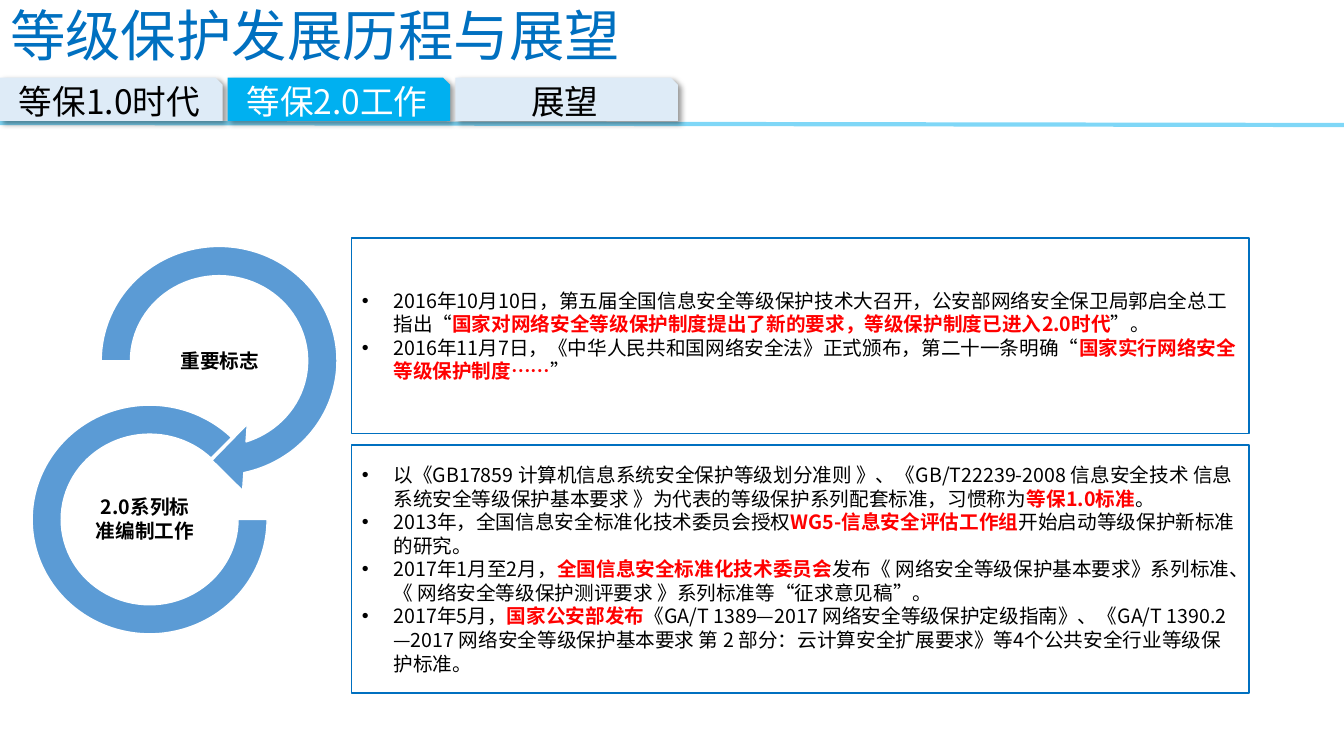
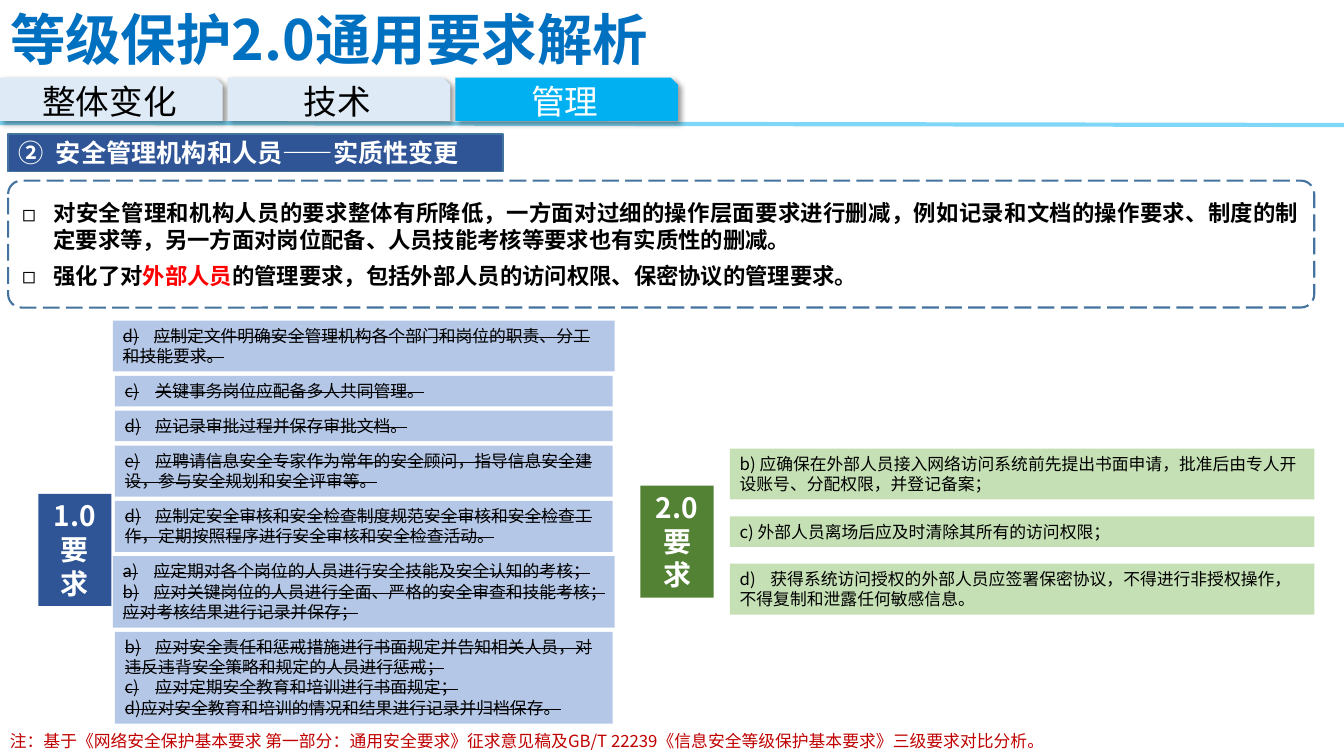
"""Build two slides on the classified protection standards."""
from lxml import etree
from pptx import Presentation
from pptx.dml.color import RGBColor
from pptx.enum.dml import MSO_LINE
from pptx.enum.shapes import MSO_CONNECTOR, MSO_SHAPE
from pptx.enum.text import MSO_ANCHOR, MSO_AUTO_SIZE, PP_ALIGN
from pptx.oxml.ns import qn
from pptx.util import Pt

RECT, ROUND, SNIP = MSO_SHAPE.RECTANGLE, MSO_SHAPE.ROUNDED_RECTANGLE, MSO_SHAPE.SNIP_1_RECTANGLE
ARROW, ARC = MSO_SHAPE.CIRCULAR_ARROW, MSO_SHAPE.BLOCK_ARC
LEFT, CENTER, JUSTIFY = PP_ALIGN.LEFT, PP_ALIGN.CENTER, PP_ALIGN.JUSTIFY
TOP, MIDDLE = MSO_ANCHOR.TOP, MSO_ANCHOR.MIDDLE
NO_FIT, GROW = MSO_AUTO_SIZE.NONE, MSO_AUTO_SIZE.SHAPE_TO_FIT_TEXT
LONG_DASH = MSO_LINE.LONG_DASH
STRAIGHT = MSO_CONNECTOR.STRAIGHT

FONT = "Noto Sans CJK SC"
C = {
    "black": "000000", "white": "FFFFFF", "red": "FF0000", "note": "C00000",
    "title": "0070C0", "active": "00B0F0", "tab": "DEEBF7", "ring": "5B9BD5",
    "navy": "2F5597", "edge": "43739E", "old": "B4C7E7", "green": "548235", "new": "C5E0B4",
}
SLIDE_W, SLIDE_H = 960, 540
TAB_W, TAB_H, TAB_STEP, TAB_TOP = 159, 31, 162.6, 55.4
LINE_H, PAD = 14.6, 7.2

MILESTONES = [
    "2016年10月10日，第五届全国信息安全等级保护技术大召开，公安部网络安全保卫局郭启全总工指出“|国家对网络安全等级保护制度提出了新的要求，等级保护制度已进入2.0时代|”。",
    "2016年11月7日，《中华人民共和国网络安全法》正式颁布，第二十一条明确“|国家实行网络安全等级保护制度……|”",
]
STANDARDS = [
    "以《GB17859 计算机信息系统安全保护等级划分准则 》、《GB/T22239-2008 信息安全技术 信息系统安全等级保护基本要求 》为代表的等级保护系列配套标准，习惯称为|等保1.0标准|。",
    "2013年，全国信息安全标准化技术委员会授权|WG5-信息安全评估工作组|开始启动等级保护新标准的研究。",
    "2017年1月至2月，|全国信息安全标准化技术委员会|发布《 网络安全等级保护基本要求》系列标准、《 网络安全等级保护测评要求 》系列标准等“征求意见稿”。",
    "2017年5月，|国家公安部发布|《GA/T 1389—2017 网络安全等级保护定级指南》、《GA/T 1390.2—2017 网络安全等级保护基本要求 第 2 部分：云计算安全扩展要求》等4个公共安全行业等级保护标准。",
]
SUMMARY = [
    "对安全管理和机构人员的要求整体有所降低，一方面对过细的操作层面要求进行删减，例如记录和文档的操作要求、制度的制定要求等，另一方面对岗位配备、人员技能考核等要求也有实质性的删减。",
    "强化了对|外部人员|的管理要求，包括外部人员的访问权限、保密协议的管理要求。",
]
OLD_ITEMS = [
    (2, 1.4, ["d)\t应制定文件明确安全管理机构各个部门和岗位的职责、分工和技能要求。"]),
    (1, 0, ["c)\t关键事务岗位应配备多人共同管理。"]),
    (1, 0, ["d)\t应记录审批过程并保存审批文档。"]),
    (2, 0, ["e)\t应聘请信息安全专家作为常年的安全顾问，指导信息安全建设，参与安全规划和安全评审等。"]),
    (2, 0, ["d)\t应制定安全审核和安全检查制度规范安全审核和安全检查工作，定期按照程序进行安全审核和安全检查活动。"]),
    (3, 1.4, ["a)\t应定期对各个岗位的人员进行安全技能及安全认知的考核；",
              "b)\t应对关键岗位的人员进行全面、严格的安全审查和技能考核；应对考核结果进行记录并保存；"]),
    (4, 0, ["b)\t应对安全责任和惩戒措施进行书面规定并告知相关人员，对违反违背安全策略和规定的人员进行惩戒；",
            "c)\t应对定期安全教育和培训进行书面规定；",
            "d)应对安全教育和培训的情况和结果进行记录并归档保存。"]),
]
NEW_ITEMS = [
    (2, 0, ["b) 应确保在外部人员接入网络访问系统前先提出书面申请，批准后由专人开设账号、分配权限，并登记备案；"]),
    (1, 0, ["c) 外部人员离场后应及时清除其所有的访问权限；"]),
    (2, 0, ["d)\t获得系统访问授权的外部人员应签署保密协议，不得进行非授权操作，不得复制和泄露任何敏感信息。"]),
]


def rgb(name):
    """Return the palette colour as RGBColor."""
    return RGBColor.from_string(C[name])


def points(box):
    """Turn a box of numbers into lengths."""
    return [Pt(v) for v in box]


def add_xml(parent, tag, **attrs):
    """Append a DrawingML child element."""
    return etree.SubElement(parent, qn(tag), {k: str(v) for k, v in attrs.items()})


def set_bullet(p, indent, char=None, start=None):
    """Give a paragraph a hanging bullet or a circled number."""
    pPr = p._p.get_or_add_pPr()
    pPr.set("marL", str(Pt(indent)))
    pPr.set("indent", str(-Pt(indent)))
    if char:
        add_xml(pPr, "a:buFont", typeface="Arial" if char == "•" else FONT)
        add_xml(pPr, "a:buChar", char=char)
    else:
        add_xml(pPr, "a:buAutoNum", type="circleNumDbPlain", startAt=start)


def style_run(r, size, color, bold, strike=False):
    """Format one run."""
    r.font.size, r.font.bold = Pt(size), bold
    r.font.color.rgb = rgb(color)
    r.font.name = FONT
    rPr = r._r.get_or_add_rPr()
    add_xml(rPr, "a:ea", typeface=FONT)
    if strike:
        rPr.set("strike", "sngStrike")


def write(shape, lines, size, color="black", bold=False, align=LEFT, anchor=MIDDLE,
          fit=NO_FIT, bullet=None, strike=False, after=0, inset=None):
    """Fill a shape with paragraphs; text between bars is highlighted."""
    tf = shape.text_frame
    tf.word_wrap, tf.vertical_anchor, tf.auto_size = True, anchor, fit
    if inset is not None:
        tf.margin_left = tf.margin_right = tf.margin_top = tf.margin_bottom = Pt(inset)
    for i, line in enumerate(lines):
        p = tf.paragraphs[0] if i == 0 else tf.add_paragraph()
        p.alignment, p.space_before, p.space_after = align, Pt(0), Pt(after)
        if bullet:
            set_bullet(p, **bullet)
        if "\t" in line:
            tabs = add_xml(p._p.get_or_add_pPr(), "a:tabLst")
            add_xml(tabs, "a:tab", pos=Pt(22), algn="l")
        for j, part in enumerate(line.split("|")):
            r = p.add_run()
            r.text = part
            style_run(r, size, "red" if j % 2 else color, bold or j % 2 == 1, strike)


def outline(shape, fill=None, line=None, width=1):
    """Set the fill and line of a shape, none where no colour is given."""
    if fill:
        shape.fill.solid()
        shape.fill.fore_color.rgb = rgb(fill)
    else:
        shape.fill.background()
    if line:
        shape.line.color.rgb = rgb(line)
        shape.line.width = Pt(width)
    else:
        shape.line.fill.background()


def add_shape(s, kind, box, fill=None, line=None, width=1, adj=()):
    """Add a flat preset shape."""
    sp = s.shapes.add_shape(kind, *points(box))
    sp.shadow.inherit = False
    outline(sp, fill, line, width)
    for i, value in enumerate(adj):
        sp.adjustments[i] = value
    return sp


def place(ph, box):
    """Move a placeholder to a box."""
    ph.left, ph.top, ph.width, ph.height = points(box)
    return ph


def add_header(s, title, tabs, active, bold=False, align=LEFT, spacing=1.0):
    """Add the title, the rule and the row of tabs."""
    rule = s.shapes.add_connector(STRAIGHT, *points((0, 87.8, SLIDE_W, 89.3)))
    rule.line.color.rgb = rgb("active")
    rule.line.width = Pt(3)
    spPr = rule._element.spPr
    add_xml(next(spPr.iter(qn("a:srgbClr"))), "a:alpha", val=50000)
    add_xml(spPr, "a:effectLst")
    write(place(s.shapes.title, (0, 0.7, 620, 54)), [title], 39.6, "title", bold, align)
    s.shapes.title.text_frame.paragraphs[0].line_spacing = spacing
    for i, name in enumerate(tabs):
        on = i == active
        sp = add_shape(s, SNIP, (i * TAB_STEP, TAB_TOP, TAB_W, TAB_H), "active" if on else "tab")
        effects = sp._element.spPr.find(qn("a:effectLst"))
        shadow = add_xml(effects, "a:outerShdw", blurRad=Pt(4), dist=Pt(3), dir=2700000,
                         algn="tl", rotWithShape=0)
        add_xml(add_xml(shadow, "a:srgbClr", val=C["black"]), "a:alpha", val=40000)
        write(sp, [name], 24, "white" if on else "black", align=CENTER)


def add_panel(ph, box, lines):
    """Turn a body placeholder into a framed bullet list."""
    outline(place(ph, box), "white", "title")
    write(ph, lines, 14, bullet={"indent": 22.5, "char": "•"})


def add_cycle(s, x, y):
    """Add the two linked rings with their captions."""
    add_shape(s, ARROW, (x + 36, y, 195, 190), "ring", "white", 1, (0.11, 11.42, 45, 108, 0.125))
    add_shape(s, ARC, (x, y + 126.7, 167.8, 163.4), "ring", "white", 1, (0, 189, 0.127))
    captions = [("重要标志", (x + 73.5, y + 75.6, 121, 38)),
                ("2.0系列标准编制工作", (x + 42.5, y + 188.6, 76.3, 38))]
    for text, box in captions:
        tb = s.shapes.add_textbox(*points(box))
        write(tb, [text], 14, bold=True, align=CENTER, inset=0.72)


def add_summary(s, x, y, w, h):
    """Add the dashed frame with the summary list inside."""
    frame = add_shape(s, ROUND, (x, y, w, h), None, "edge", 1.5, (0.106,))
    frame.line.dash_style = LONG_DASH
    pad = 2.8
    body = place(s.placeholders[1], (x + pad, y + pad, w - 2 * pad, h - 2 * pad))
    write(body, SUMMARY, 16, bold=True, align=JUSTIFY, after=6,
          bullet={"indent": 22.5, "char": "◻"})


def add_stack(s, x, y, w, gap, items, fill, strike=False):
    """Stack requirement boxes whose heights follow their line counts."""
    for count, extra, lines in items:
        h = PAD + LINE_H * count
        sp = add_shape(s, RECT, (x - extra, y, w + 2 * extra, h), fill)
        write(sp, lines, 12, anchor=TOP, fit=GROW, strike=strike)
        y += h + gap


def add_version(s, x, y, version, fill):
    """Add the label naming a version of the requirements."""
    sp = add_shape(s, RECT, (x, y, 52.2, 80), fill)
    write(sp, [version, "要求"], 20, "white", True, CENTER, TOP, GROW)


def build_history(prs):
    """Build the slide on the history of the standards."""
    s = prs.slides.add_slide(prs.slide_layouts[3])
    add_header(s, "等级保护发展历程与展望", ["等保1.0时代", "等保2.0工作", "展望"], 1, spacing=0.9)
    add_panel(s.placeholders[1], (251.3, 170, 640.8, 139.7), MILESTONES)
    add_panel(s.placeholders[2], (251.3, 318, 640.8, 177), STANDARDS)
    add_cycle(s, 23, 162.7)


def build_comparison(prs):
    """Build the slide comparing the old and new requirements."""
    s = prs.slides.add_slide(prs.slide_layouts[1])
    add_header(s, "等级保护2.0通用要求解析", ["整体变化", "技术", "管理"], 2, True, JUSTIFY)
    heading = add_shape(s, RECT, (5.8, 95.8, 353.5, 26.6), "navy", "edge")
    write(heading, ["安全管理机构和人员——实质性变更"], 18, "white", True, JUSTIFY,
          bullet={"indent": 27, "start": 2})
    add_summary(s, 5.8, 129, 933, 90.7)
    add_version(s, 27.4, 352.8, "1.0", "navy")
    add_version(s, 457.5, 347, "2.0", "green")
    add_stack(s, 82, 229, 355.7, 3.1, OLD_ITEMS, "old", True)
    add_stack(s, 521.3, 320.4, 417.6, 12, NEW_ITEMS, "new")
    note = s.shapes.add_textbox(*points((0, 518.4, 864, 21.6)))
    write(note, ["注：基于《网络安全保护基本要求 第一部分：通用安全要求》征求意见稿及GB/T 22239《信息安全等级保护基本要求》三级要求对比分析。"],
          12, "note", anchor=TOP, fit=GROW)


def main():
    """Build and save the presentation."""
    prs = Presentation()
    prs.slide_width, prs.slide_height = Pt(SLIDE_W), Pt(SLIDE_H)
    build_history(prs)
    build_comparison(prs)
    prs.save("out.pptx")


if __name__ == "__main__":
    main()
